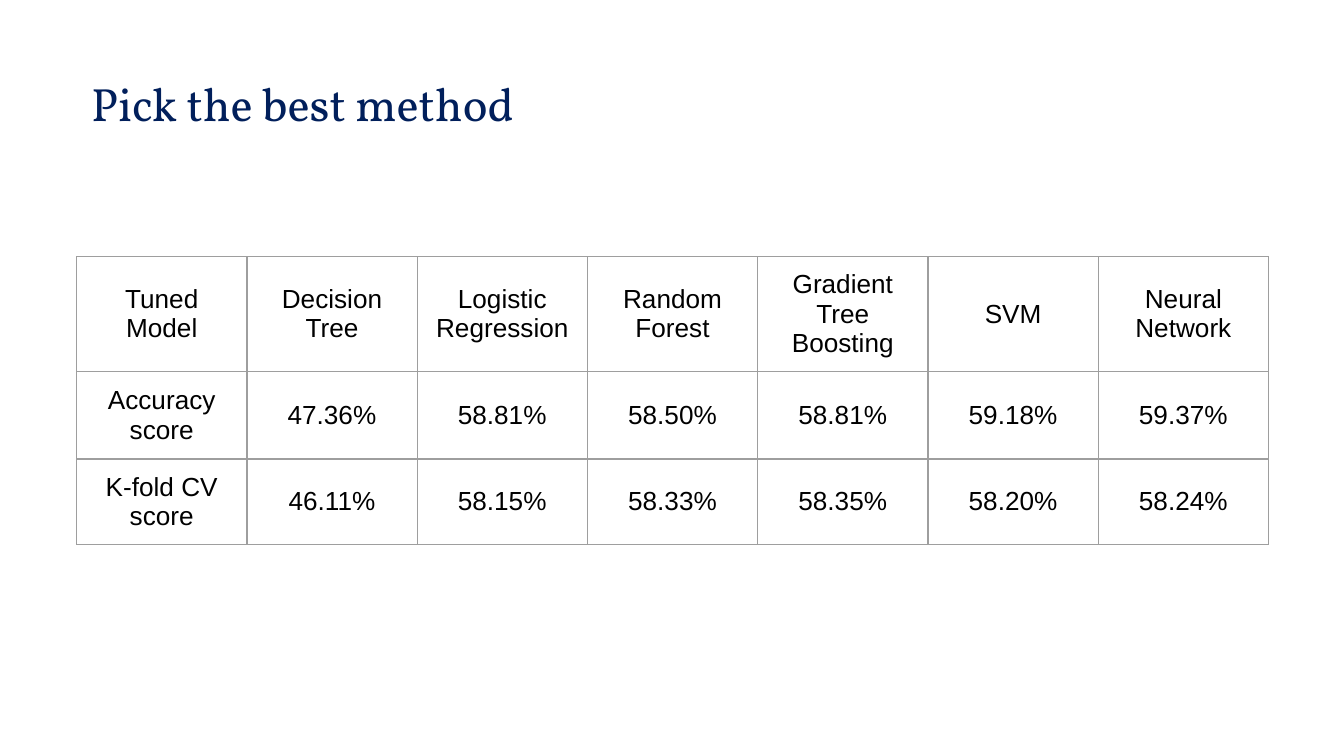
"""Build a slide comparing the scores of tuned classification models."""
from dataclasses import dataclass

from lxml import etree
from pptx import Presentation
from pptx import util as u
from pptx.dml.color import RGBColor
from pptx.enum import text
from pptx.oxml import ns

NAVY = RGBColor(0x01, 0x1F, 0x5B)
BLACK = RGBColor(0x00, 0x00, 0x00)
GREY = RGBColor(0x9E, 0x9E, 0x9E)
SLIDE_WIDTH = u.Inches(10)
SLIDE_HEIGHT = SLIDE_WIDTH * 9 // 16
INSET = u.Inches(0.1)
TABLE_WIDTH = u.Inches(8.87)


@dataclass(frozen=True)
class ScoreRow:
    height: float
    entries: tuple[str, ...]


SCORE_ROWS = (
    ScoreRow(0.71, ("Tuned Model", "Decision Tree", "Logistic Regression", "Random Forest",
                    "Gradient Tree Boosting", "SVM", "Neural Network")),
    ScoreRow(0.65, ("Accuracy score", "47.36%", "58.81%", "58.50%", "58.81%", "59.18%", "59.37%")),
    ScoreRow(0.63, ("K-fold CV score", "46.11%", "58.15%", "58.33%", "58.35%", "58.20%", "58.24%")),
)


def set_insets(holder) -> None:
    holder.margin_left = holder.margin_right = INSET
    holder.margin_top = holder.margin_bottom = INSET


def add_run(paragraph, wording: str, font_name: str, size: int, color: RGBColor) -> None:
    run = paragraph.add_run()
    run.text = wording
    run.font.name = font_name
    run.font.size = u.Pt(size)
    run.font.color.rgb = color


def add_borders(cell) -> None:
    properties = cell._tc.get_or_add_tcPr()
    for position, side in enumerate(("a:lnL", "a:lnR", "a:lnT", "a:lnB")):
        border = etree.Element(ns.qn(side), w=str(u.Pt(0.75)))
        fill = etree.SubElement(border, ns.qn("a:solidFill"))
        etree.SubElement(fill, ns.qn("a:srgbClr"), val=str(GREY))
        properties.insert(position, border)


def fill_cell(cell, wording: str) -> None:
    cell.fill.background()
    cell.vertical_anchor = text.MSO_ANCHOR.MIDDLE
    set_insets(cell)
    paragraph = cell.text_frame.paragraphs[0]
    paragraph.alignment = text.PP_ALIGN.CENTER
    add_run(paragraph, wording, "Arial", 14, BLACK)
    add_borders(cell)


def add_score_table(slide, score_rows: tuple[ScoreRow, ...]) -> None:
    column_count = len(score_rows[0].entries)
    height = u.Inches(sum(row.height for row in score_rows))
    scores = slide.shapes.add_table(len(score_rows), column_count, u.Inches(0.57), u.Inches(1.91),
                                    TABLE_WIDTH, height).table
    scores.first_row = scores.horz_banding = False
    for column in scores.columns:
        column.width = TABLE_WIDTH // column_count
    for row, score_row in zip(scores.rows, score_rows):
        row.height = u.Inches(score_row.height)
        for cell, entry in zip(row.cells, score_row.entries):
            fill_cell(cell, entry)


def add_title(slide, wording: str) -> None:
    title = slide.shapes.add_textbox(u.Inches(0.58), u.Inches(0.46), u.Inches(3.85), u.Inches(0.62))
    frame = title.text_frame
    frame.word_wrap = True
    frame.auto_size = text.MSO_AUTO_SIZE.SHAPE_TO_FIT_TEXT
    set_insets(frame)
    add_run(frame.paragraphs[0], wording, "Vollkorn", 25, NAVY)


def main() -> None:
    deck = Presentation()
    deck.slide_width, deck.slide_height = SLIDE_WIDTH, SLIDE_HEIGHT
    slide = deck.slides.add_slide(deck.slide_layouts[6])
    add_score_table(slide, SCORE_ROWS)
    add_title(slide, "Pick the best method")
    deck.save("out.pptx")


if __name__ == "__main__":
    main()
